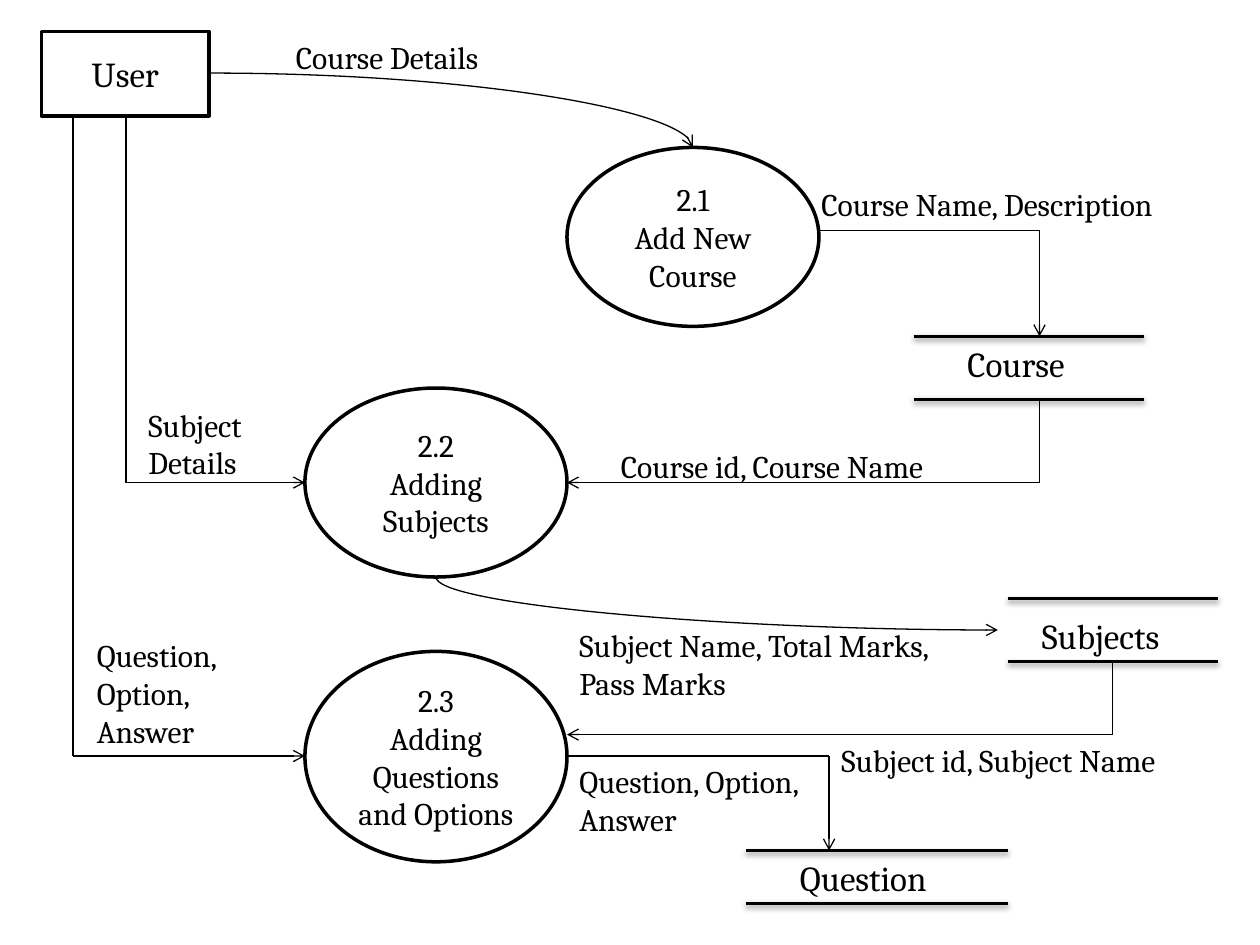
"""Build a data flow diagram for adding courses, subjects and questions."""
from lxml import etree
from pptx import Presentation
from pptx.dml.color import RGBColor
from pptx.enum import shapes, text
from pptx.oxml.ns import qn
from pptx.util import Inches, Pt

INK, PAPER = "000000", "FFFFFF"


def write(sp, lines, size, align, anchor):
    """Fill a shape with one paragraph per line."""
    tf = sp.text_frame
    for name, value in {"word_wrap": True, "vertical_anchor": anchor}.items():
        setattr(tf, name, value)
    tf.text = "\n".join(lines)
    for p in tf.paragraphs:
        p.alignment = align
        font = p.runs[0].font
        for name, value in {"name": "Cambria", "size": Pt(size)}.items():
            setattr(font, name, value)
        font.color.rgb = RGBColor.from_string(INK)


def connect(start, end, width=0.75, arrow=False, shadow=False, kind="STRAIGHT"):
    """Draw a connector, optionally with an arrowhead or a soft shadow."""
    cx = s.shapes.add_connector(getattr(shapes.MSO_CONNECTOR, kind),
                                *[Inches(v) for v in (*start, *end)])
    cx.line.width = Pt(width)
    cx.line.color.rgb = RGBColor.from_string(INK)
    if arrow:
        etree.SubElement(cx.line._get_or_add_ln(), qn("a:tailEnd"), type="arrow")
    effects = etree.SubElement(cx._element.spPr, qn("a:effectLst"))
    if shadow:
        outer = etree.SubElement(effects, qn("a:outerShdw"), blurRad=str(Pt(3.1)),
                                 dist=str(Pt(1.6)), dir="5400000", rotWithShape="0")
        color = etree.SubElement(outer, qn("a:srgbClr"), val=INK)
        etree.SubElement(color, qn("a:alpha"), val="38000")
    if kind == "CURVE":
        cx._element.spPr.find(qn("a:prstGeom")).set("prst", "curvedConnector2")
    return cx


prs = Presentation()
prs.slide_width, prs.slide_height = Inches(10), Inches(7.5)
s = prs.slides.add_slide(prs.slide_layouts[6])

nodes = [
    ("RECTANGLE", (0.33, 0.25, 1.33, 0.67), 20, ["User"]),
    ("OVAL", (4.5, 1.17, 2, 1.42), 18, ["2.1", "Add New", "Course"]),
    ("OVAL", (2.42, 3.08, 2.08, 1.5), 18, ["2.2", "Adding Subjects"]),
    ("OVAL", (2.42, 5.17, 2.08, 1.67), 18, ["2.3", "Adding", "Questions and Options"]),
]
for kind, box, size, lines in nodes:
    sp = s.shapes.add_shape(getattr(shapes.MSO_SHAPE, kind), *map(Inches, box))
    sp.shadow.inherit = False
    sp.fill.solid()
    sp.fill.fore_color.rgb = RGBColor.from_string(PAPER)
    sp.line.color.rgb = RGBColor.from_string(INK)
    sp.line.width = Pt(2)
    write(sp, lines, size, text.PP_ALIGN.CENTER, text.MSO_ANCHOR.MIDDLE)

stores = [(7.25, 9.08, 2.67, 3.17), (5.92, 8, 6.75, 7.17), (8, 9.67, 4.75, 5.25)]
for left, right, *edges in stores:
    for y in edges:
        connect((left, y), (right, y), width=2, shadow=True)

flows = [
    [(0.58, 0.92), (0.58, 6), (2.42, 6)],
    [(1, 0.92), (1, 3.83), (2.42, 3.83)],
    [(6.5, 1.83), (8.25, 1.83), (8.25, 2.67)],
    [(8.25, 3.17), (8.25, 3.83), (4.5, 3.83)],
    [(8.83, 5.25), (8.83, 5.83), (4.5, 5.83)],
    [(4.5, 6), (6.58, 6), (6.58, 6.75)],
]
for start, corner, end in flows:
    connect(start, corner)
    connect(corner, end, arrow=True)

connect((1.67, 0.58), (5.5, 1.17), arrow=True, kind="CURVE")
curve = connect((5.9, 2.56), (5.48, 7.02), arrow=True, kind="CURVE")
curve._element.spPr.find(qn("a:xfrm")).set("rot", "16200000")

labels = [
    ((2.25, 0.25, 1.75, 0.4), 18, ["Course Details"]),
    ((6.42, 1.42, 3.08, 0.4), 18, ["Course Name, Description"]),
    ((7.58, 2.67, 1.42, 0.44), 20, ["Course"]),
    ((1.08, 3.17, 1.33, 0.71), 18, ["Subject Details"]),
    ((8.17, 4.83, 1.58, 0.44), 20, ["Subjects"]),
    ((0.67, 5, 1.67, 1.01), 18, ["Question,", "Option,", "Answer"]),
    ((4.5, 6, 2.17, 0.71), 18, ["Question, Option,", "Answer"]),
    ((4.83, 3.5, 3.17, 0.4), 18, ["Course id, Course Name"]),
    ((6.25, 6.75, 1.42, 0.44), 20, ["Question"]),
    ((6.58, 5.83, 3.17, 0.4), 18, ["Subject id, Subject Name"]),
    ((4.5, 4.92, 3.33, 0.71), 18, ["Subject Name, Total Marks, Pass Marks"]),
]
for box, size, lines in labels:
    sp = s.shapes.add_textbox(*map(Inches, box))
    write(sp, lines, size, text.PP_ALIGN.LEFT, text.MSO_ANCHOR.TOP)
    sp.text_frame.auto_size = text.MSO_AUTO_SIZE.SHAPE_TO_FIT_TEXT

prs.save("out.pptx")
